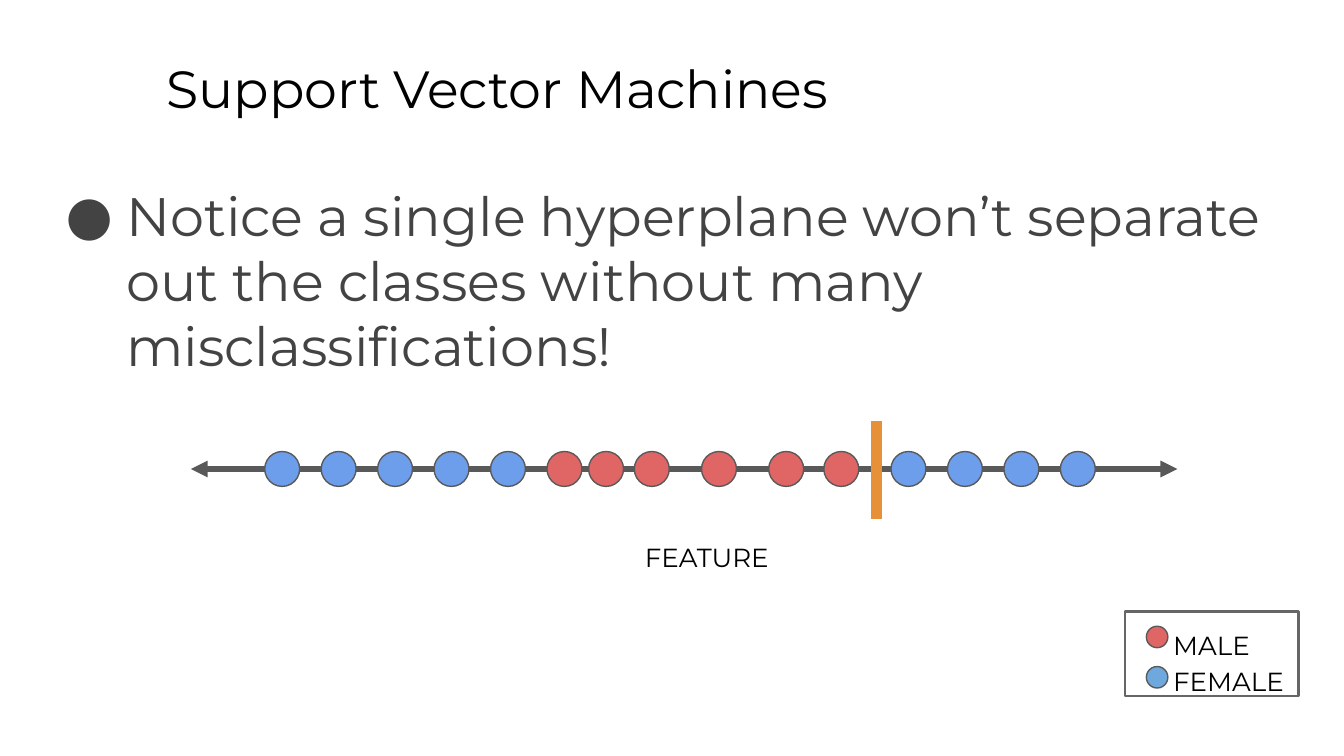
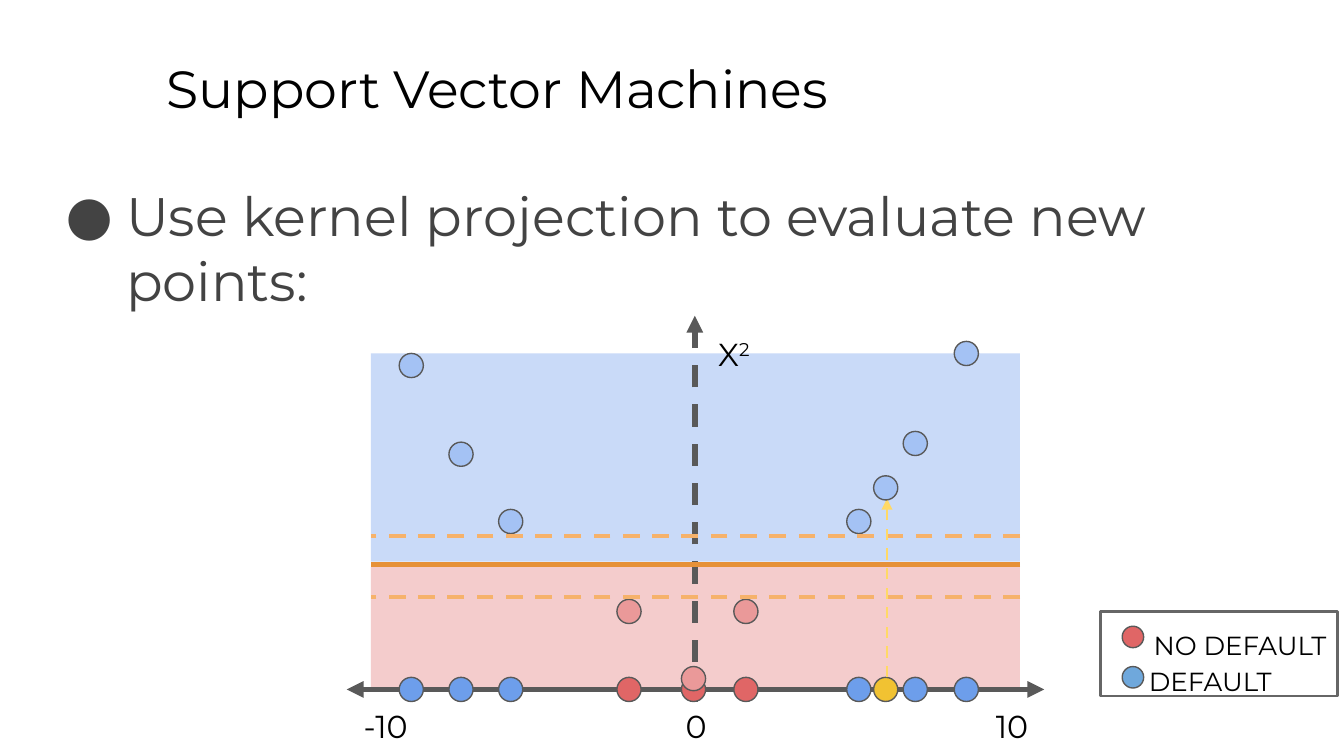
from lxml import etree
from pptx import Presentation
from pptx.dml.color import RGBColor
from pptx.enum.dml import MSO_LINE_DASH_STYLE as DASH
from pptx.enum.shapes import MSO_CONNECTOR, MSO_SHAPE
from pptx.enum.text import MSO_ANCHOR, MSO_AUTO_SIZE, PP_ALIGN as ALIGN
from pptx.oxml.ns import qn
from pptx.util import Inches, Pt

FONT = "Montserrat"
COLORS = {
    "text": "000000",
    "body": "434343",
    "axis": "595959",
    "frame": "666666",
    "blue": "6D9EEB",
    "red": "E06666",
    "yellow": "F1C232",
    "light_blue": "A4C2F4",
    "light_red": "EA9999",
    "legend_blue": "6FA8DC",
    "blue_band": "C9DAF8",
    "red_band": "F4CCCC",
    "hyperplane": "E69138",
    "margin": "F6B26B",
    "projection": "FFD966",
}


def rgb(name):
    return RGBColor.from_string(COLORS[name])


# Text
def prepare_frame(shape):
    frame = shape.text_frame
    frame.word_wrap = True
    frame.auto_size = MSO_AUTO_SIZE.NONE
    frame.vertical_anchor = MSO_ANCHOR.TOP
    frame.margin_left = frame.margin_right = Inches(0.1)
    frame.margin_top = frame.margin_bottom = Inches(0.1)
    return frame


def format_paragraph(paragraph, size, color="text", align=ALIGN.LEFT):
    paragraph.alignment = align
    for run in paragraph.runs:
        run.font.name = FONT
        run.font.size = Pt(size)
        run.font.color.rgb = rgb(color)


def set_indent(paragraph, left, first=0):
    properties = paragraph._p.get_or_add_pPr()
    properties.set("marL", str(Inches(left)))
    properties.set("indent", str(Inches(first)))
    return properties


def add_title(slide, text):
    title = slide.shapes.title
    title.left, title.top = Inches(1.14), Inches(0.32)
    title.width, title.height = Inches(8.52), Inches(0.63)
    frame = prepare_frame(title)
    frame.text = text
    format_paragraph(frame.paragraphs[0], 28)


def add_text(slide, text, left, top, width, height, size, color="text", align=ALIGN.CENTER):
    box = slide.shapes.add_textbox(Inches(left), Inches(top), Inches(width), Inches(height))
    frame = prepare_frame(box)
    frame.text = text
    paragraph = frame.paragraphs[0]
    format_paragraph(paragraph, size, color, align)
    return paragraph


def add_bullet(slide, text, height):
    paragraph = add_text(slide, text, 0.34, 1.26, 9.5, height, 29, "body", ALIGN.LEFT)
    properties = set_indent(paragraph, 0.5, -0.45)
    bullet_color = etree.SubElement(properties, qn("a:buClr"))
    etree.SubElement(bullet_color, qn("a:srgbClr")).set("val", COLORS["body"])
    etree.SubElement(properties, qn("a:buFont")).set("typeface", FONT)
    etree.SubElement(properties, qn("a:buChar")).set("char", "●")


# Shapes and lines
def add_shape(slide, kind, left, top, width, height, fill=None, line=None, line_width=0.75):
    shape = slide.shapes.add_shape(kind, Inches(left), Inches(top), Inches(width), Inches(height))
    shape.shadow.inherit = False
    if fill:
        shape.fill.solid()
        shape.fill.fore_color.rgb = rgb(fill)
    else:
        shape.fill.background()
    if line:
        shape.line.color.rgb = rgb(line)
        shape.line.width = Pt(line_width)
    else:
        shape.line.fill.background()
    return shape


def add_dot(slide, left, top, size, fill):
    add_shape(slide, MSO_SHAPE.OVAL, left, top, size, size, fill, "axis")


def add_line(slide, start, end, color, width, dashed=False, arrows=()):
    connector = slide.shapes.add_connector(
        MSO_CONNECTOR.STRAIGHT, *(Inches(value) for value in (*start, *end)))
    connector.line.color.rgb = rgb(color)
    connector.line.width = Pt(width)
    if dashed:
        connector.line.dash_style = DASH.DASH
    properties = connector._element.spPr
    for arrow in arrows:
        etree.SubElement(properties.find(qn("a:ln")), qn(f"a:{arrow}")).set("type", "triangle")
    etree.SubElement(properties, qn("a:effectLst"))


def add_legend(slide, left, width, labels, first_align=ALIGN.LEFT):
    frame_box = add_shape(slide, MSO_SHAPE.RECTANGLE, left, 4.55, width, 0.63,
                          line="frame", line_width=1.5)
    frame = prepare_frame(frame_box)
    frame.margin_right = Inches(0.08)
    frame.text = "\n".join(labels)
    for paragraph, align in zip(frame.paragraphs, (first_align, ALIGN.LEFT)):
        format_paragraph(paragraph, 14, align=align)
        paragraph.line_spacing = 1.15
        if align == ALIGN.LEFT:
            set_indent(paragraph, 0.26)
    for top, fill in ((4.66, "red"), (4.96, "legend_blue")):
        add_dot(slide, left + 0.16, top, 0.16, fill)


def start_slide(presentation, bullet, bullet_height):
    slide = presentation.slides.add_slide(presentation.slide_layouts[5])
    add_title(slide, "Support Vector Machines")
    add_bullet(slide, bullet, bullet_height)
    return slide


# Slides
def build_feature_slide(presentation):
    slide = start_slide(
        presentation,
        "Notice a single hyperplane won’t separate out the classes without many misclassifications!",
        2.36)
    add_line(slide, (1.42, 3.49), (8.76, 3.49), "axis", 3, arrows=("headEnd", "tailEnd"))
    add_text(slide, "FEATURE", 4.53, 3.93, 1.46, 0.25, 14)

    # Samples along the feature axis
    step = 0.42
    females = [1.97 + step * i for i in range(5)] + [6.63 + step * i for i in range(4)]
    males = [4.07, 4.38, 4.72, 5.22, 5.72, 6.13]
    for lefts, fill in ((females, "blue"), (males, "red")):
        for left in lefts:
            add_dot(slide, left, 3.36, 0.26, fill)

    add_legend(slide, 8.37, 1.29, ("MALE", "FEMALE"))
    add_line(slide, (6.52, 3.13), (6.52, 3.86), "hyperplane", 6)


def build_kernel_slide(presentation):
    slide = start_slide(presentation, "Use kernel projection to evaluate new points:", 1.39)
    left, right, dot, axis_top = 2.76, 7.59, 0.18, 5.04

    # Class regions and axes
    for top, height, fill in ((4.22, 0.9, "red_band"), (2.63, 1.55, "blue_band")):
        add_shape(slide, MSO_SHAPE.RECTANGLE, left, top, right - left, height, fill)
    add_line(slide, (5.17, 5.22), (5.17, 2.35), "axis", 3, dashed=True, arrows=("tailEnd",))
    add_line(slide, (2.58, 5.13), (7.77, 5.13), "axis", 3, arrows=("headEnd", "tailEnd"))
    for label, label_left in (("-10", 2.21), ("0", 4.52), ("10", 6.87)):
        add_text(slide, label, label_left, 5.17, 1.32, 0.18, 17)
    square_label = add_text(slide, "X", 4.8, 2.4, 1.32, 0.18, 17)
    exponent = square_label.add_run()
    exponent.text = "2"
    exponent._r.get_or_add_rPr().set("baseline", "30000")
    format_paragraph(square_label, 17, align=ALIGN.CENTER)

    # Samples on the axis and their projections: left, projected top, colour
    samples = [
        (2.97, 2.63, "blue"), (3.34, 3.29, "blue"), (3.71, 3.79, "blue"),
        (4.59, 4.46, "red"), (5.07, 4.96, "red"), (5.46, 4.46, "red"),
        (6.3, 3.79, "blue"), (6.72, 3.21, "blue"), (7.1, 2.54, "blue"),
    ]
    for dot_left, projected_top, color in samples:
        add_dot(slide, dot_left, axis_top, dot, color)
        add_dot(slide, dot_left, projected_top, dot, f"light_{color}")
    add_legend(slide, 8.19, 1.76, ("NO DEFAULT", "DEFAULT"), ALIGN.RIGHT)

    # Hyperplane with its margins
    for y, color, dashed in ((4.2, "hyperplane", False), (3.99, "margin", True), (4.44, "margin", True)):
        add_line(slide, (right, y), (left, y), color, 2.25, dashed)

    # New point
    add_dot(slide, 6.5, axis_top, dot, "yellow")
    add_line(slide, (6.6, axis_top), (6.6, 3.71), "projection", 1.5, dashed=True, arrows=("tailEnd",))
    add_dot(slide, 6.5, 3.54, dot, "light_blue")


def main():
    presentation = Presentation()
    # Widescreen, 16:9
    presentation.slide_width = Inches(10)
    presentation.slide_height = Inches(10) * 9 // 16
    build_feature_slide(presentation)
    build_kernel_slide(presentation)
    presentation.save("out.pptx")


if __name__ == "__main__":
    main()
